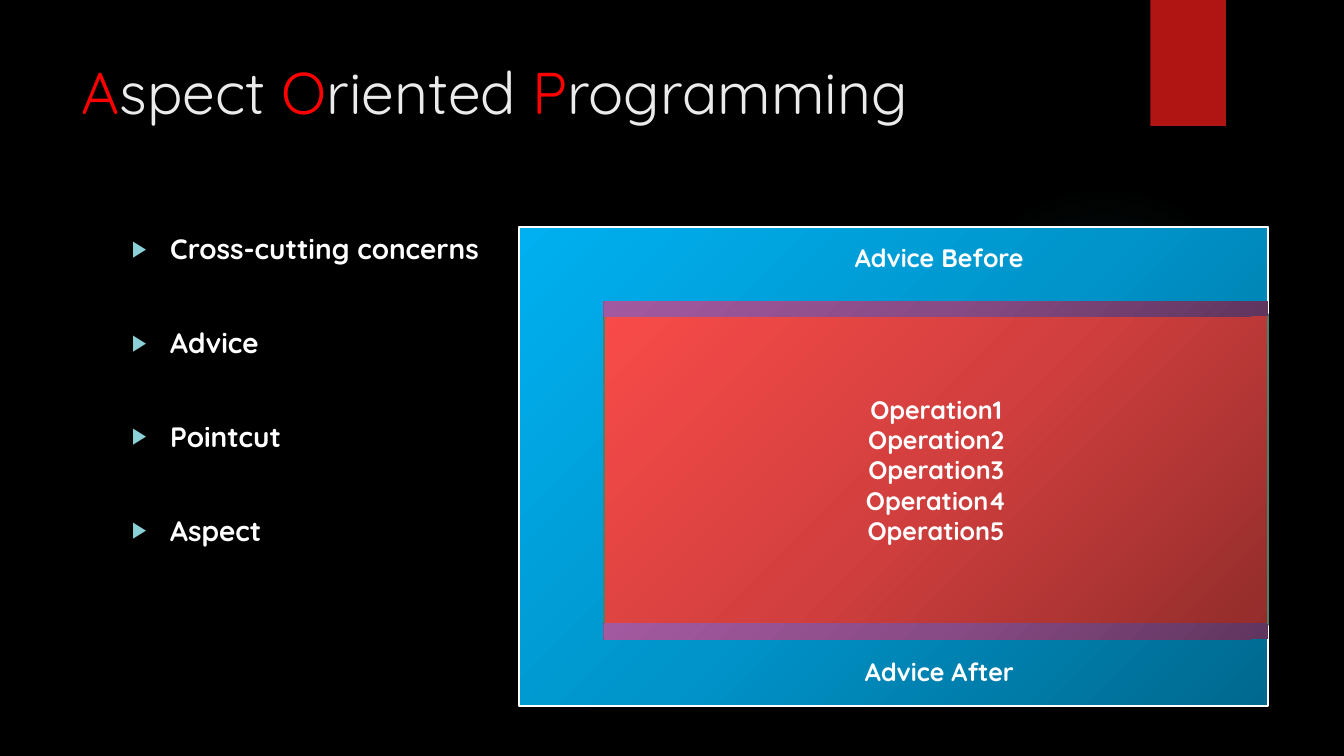
from dataclasses import dataclass

from lxml import etree
from pptx import Presentation
from pptx.dml.color import RGBColor
from pptx.enum import shapes, text
from pptx.oxml import parse_xml
from pptx.oxml.ns import nsdecls, qn
from pptx.util import Inches, Pt


@dataclass(frozen=True)
class Theme:
    font: str = "Quicksand"
    background: str = "000000"
    ribbon: str = "B01513"
    glow: str = "50B9C1"
    title: str = "EBEBEB"
    initial: str = "FF0000"
    white: str = "FFFFFF"
    bullet: str = "8AD0D6"
    operations_edge: str = "4E7F6B"
    blue: tuple = ("00688E", "0094CA", "00B0F0")
    red: tuple = ("932D2B", "D13F3E", "F84B49")
    purple: tuple = ("60355E", "894B86", "A3599F")
    title_size: int = 42
    concept_size: int = 20
    label_size: int = 18


theme = Theme()


def add_run(paragraph, words, size, color, bold=True):
    run = paragraph.add_run()
    run.text = words
    run.font.name = theme.font
    run.font.size = Pt(size)
    run.font.bold = bold
    run.font.color.rgb = RGBColor.from_string(color)


def add_gradient_shape(preset, box, stops, direction):
    """Add a shape with a gradient of (percent, colour, opacity percent) stops."""
    shape = slide.shapes.add_shape(preset, *map(Inches, box))
    shape.shadow.inherit = False
    shape.line.fill.background()
    shape.fill.gradient()
    stops_xml = "".join(
        f'<a:gs pos="{place * 1000}"><a:srgbClr val="{color}">'
        f'<a:alpha val="{opacity * 1000}"/></a:srgbClr></a:gs>'
        for place, color, opacity in stops)
    properties = shape.fill._xPr
    properties.replace(properties.find(qn("a:gradFill")), parse_xml(
        f'<a:gradFill {nsdecls("a")} rotWithShape="1"><a:gsLst>{stops_xml}</a:gsLst>'
        f'{direction}</a:gradFill>'))
    return shape


prs = Presentation()
prs.slide_width, prs.slide_height = Inches(13.33), Inches(7.5)
slide = prs.slides.add_slide(prs.slide_layouts[5])
slide.background.fill.solid()
slide.background.fill.fore_color.rgb = RGBColor.from_string(theme.background)

# Backdrop: faint glow and ribbon
add_gradient_shape(
    shapes.MSO_SHAPE.OVAL, (9.41, 1.83, 3.08, 3.08),
    [(0, theme.glow, 7), (36, theme.glow, 6), (69, theme.glow, 0)],
    '<a:path path="circle"><a:fillToRect l="50000" t="50000" r="50000" b="50000"/></a:path>')

ribbon = slide.shapes.add_shape(
    shapes.MSO_SHAPE.RECTANGLE, Inches(11.41), 0, Inches(0.75), Inches(1.25))
ribbon.fill.solid()
ribbon.fill.fore_color.rgb = RGBColor.from_string(theme.ribbon)
ribbon.line.fill.background()
ribbon.shadow.inherit = False
ribbon_effects = ribbon._element.spPr.find(qn("a:effectLst"))
ribbon_shadow = etree.SubElement(
    ribbon_effects, qn("a:outerShdw"), blurRad=str(Pt(3)), dist=str(Pt(2)),
    dir="5400000", rotWithShape="0")
shadow_color = etree.SubElement(ribbon_shadow, qn("a:srgbClr"), val="000000")
etree.SubElement(shadow_color, qn("a:alpha"), val="45000")

# Title with red initials
title = slide.shapes.title
title.left, title.top, title.width, title.height = map(Inches, (0.71, 0.5, 10.29, 1.53))
title.text_frame.vertical_anchor = text.MSO_ANCHOR.TOP
title.text_frame.auto_size = text.MSO_AUTO_SIZE.NONE
heading = title.text_frame.paragraphs[0]
heading.alignment = text.PP_ALIGN.LEFT
for initial, rest in (("A", "spect "), ("O", "riented "), ("P", "rogramming")):
    add_run(heading, initial, theme.title_size, theme.initial, bold=False)
    add_run(heading, rest, theme.title_size, theme.title, bold=False)

# Concept list
concepts = slide.shapes.add_textbox(*map(Inches, (1.21, 2.25, 9.78, 4.59))).text_frame
concepts.word_wrap = True
for index, concept in enumerate(("Cross-cutting concerns", "Advice", "Pointcut", "Aspect")):
    item = concepts.paragraphs[0] if index == 0 else concepts.add_paragraph()
    item.space_after = Pt(43)
    add_run(item, concept, theme.concept_size, theme.white)
    item_format = item._p.get_or_add_pPr()
    item_format.set("marL", str(Inches(0.38)))
    item_format.set("indent", str(Inches(-0.38)))
    bullet_color = etree.SubElement(item_format, qn("a:buClr"))
    etree.SubElement(bullet_color, qn("a:srgbClr"), val=theme.bullet)
    etree.SubElement(item_format, qn("a:buSzPct"), val="80000")
    etree.SubElement(item_format, qn("a:buFont"), typeface="Arial")
    etree.SubElement(item_format, qn("a:buChar"), char="▶")

# Advice panel, operations, and the labels and bars around them
panels = {}
for part, box, colors, edge in (
        ("advice", (5.15, 2.25, 7.43, 4.75), theme.blue, theme.white),
        ("operations", (5.99, 3.12, 6.59, 3.08), theme.red, theme.operations_edge),
        ("bar before", (5.99, 2.99, 6.59, 0.15), theme.purple, None),
        ("bar after", (5.99, 6.19, 6.59, 0.15), theme.purple, None)):
    panel = add_gradient_shape(
        shapes.MSO_SHAPE.RECTANGLE, box,
        [(place, color, 100) for place, color in zip((0, 50, 100), colors)],
        f'<a:lin ang="{225 * 60000}" scaled="0"/>')
    if edge:
        panel.line.color.rgb = RGBColor.from_string(edge)
        panel.line.width = Pt(1.5)
    panels[part] = panel

operations = panels["operations"].text_frame
operations.vertical_anchor = text.MSO_ANCHOR.MIDDLE
for number in range(1, 6):
    operation = operations.paragraphs[0] if number == 1 else operations.add_paragraph()
    operation.alignment = text.PP_ALIGN.CENTER
    add_run(operation, f"Operation{number}", theme.label_size, theme.white)

for words, box in (("Advice Before", (8.38, 2.36, 2.02, 0.4)),
                   ("Advice After", (8.48, 6.46, 1.81, 0.4))):
    label = slide.shapes.add_textbox(*map(Inches, box)).text_frame
    label.word_wrap = True
    label.auto_size = text.MSO_AUTO_SIZE.SHAPE_TO_FIT_TEXT
    add_run(label.paragraphs[0], words, theme.label_size, theme.white)

prs.save("out.pptx")
